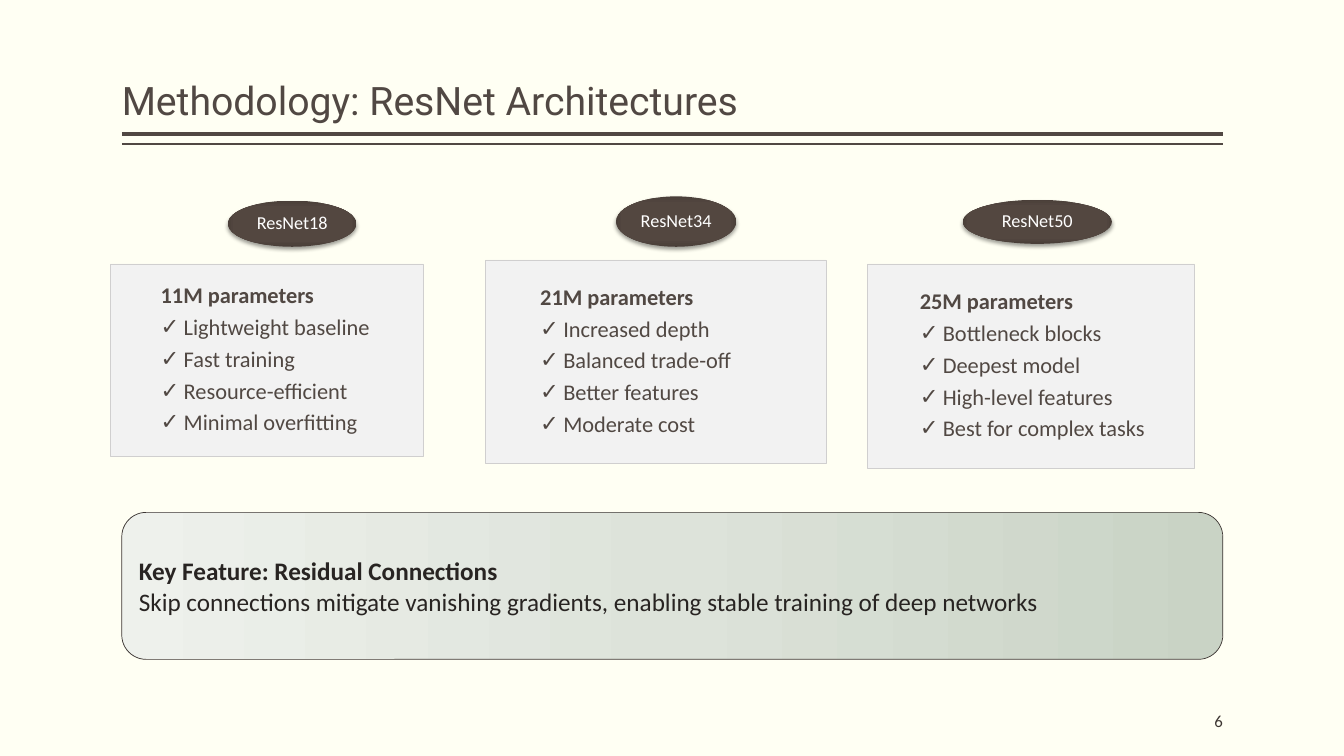
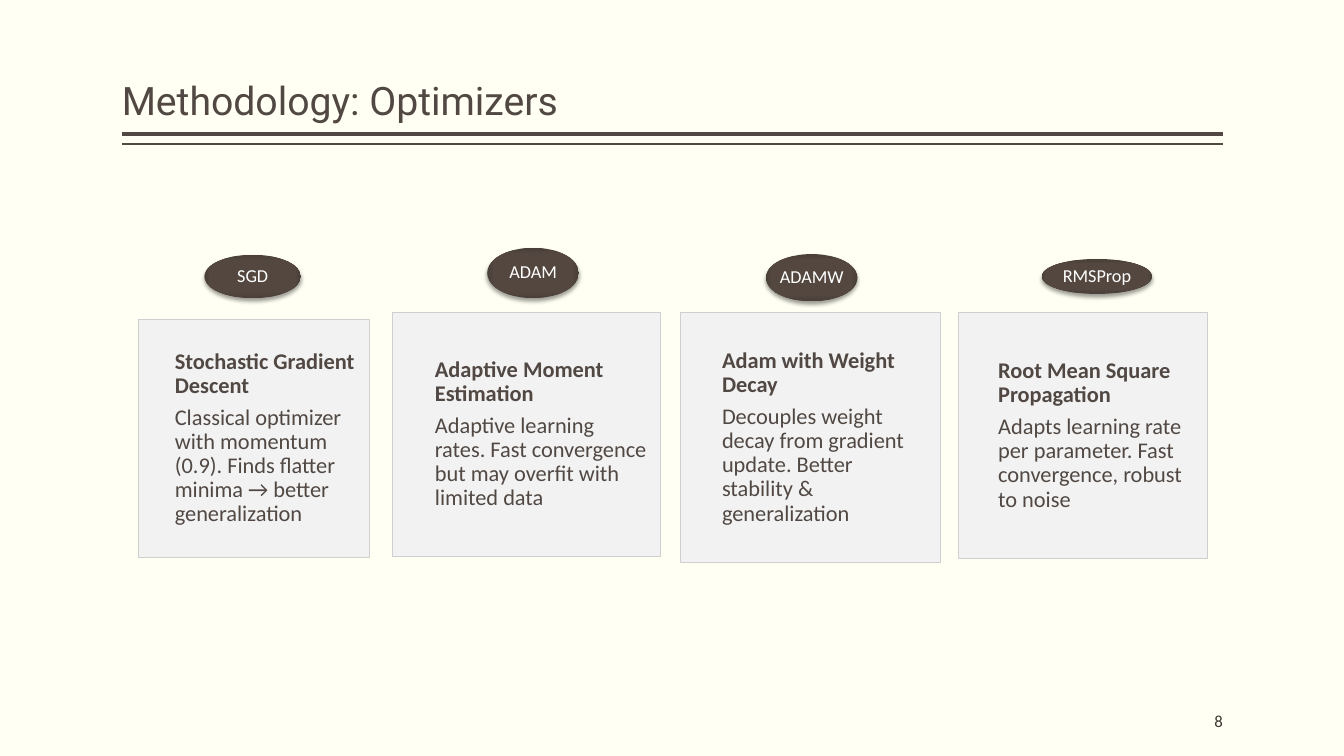
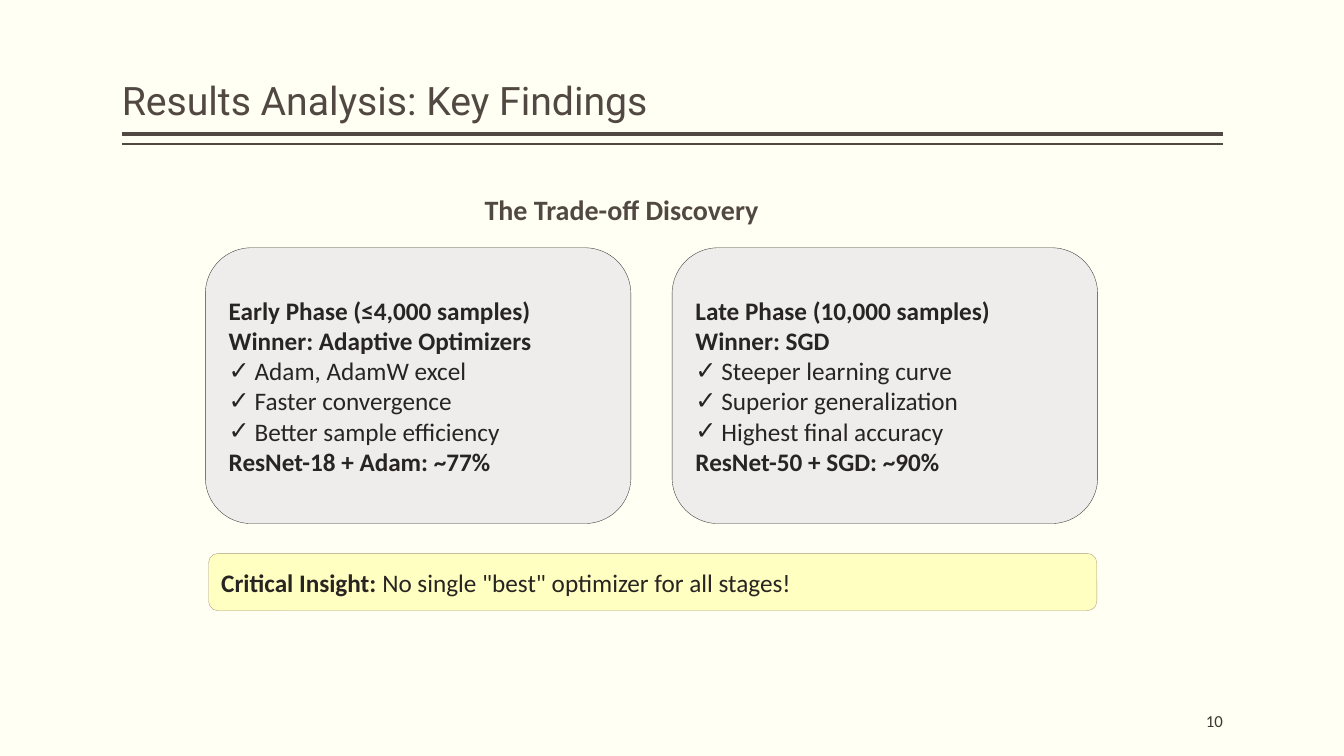
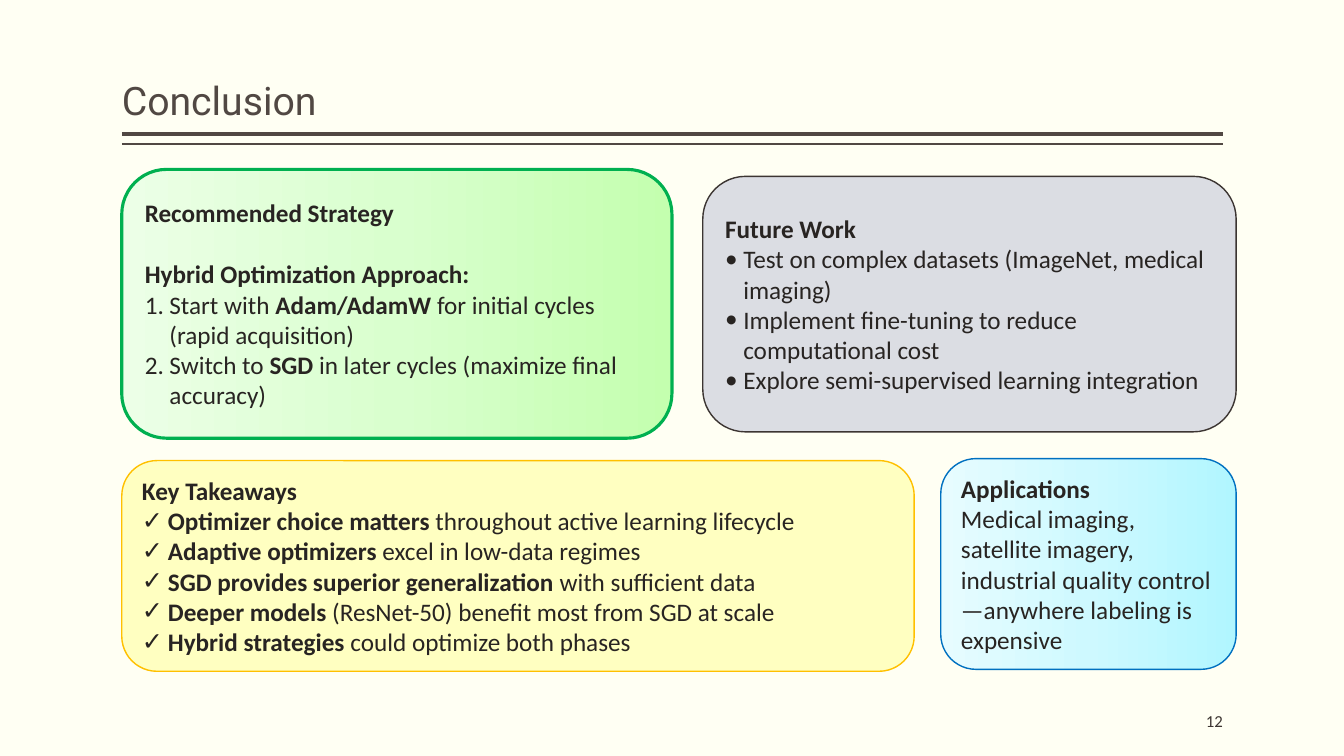
from dataclasses import dataclass

from pptx import Presentation
from pptx.dml.color import RGBColor
from pptx.enum.shapes import MSO_CONNECTOR, MSO_SHAPE
from pptx.enum.text import MSO_ANCHOR, MSO_AUTO_SIZE, PP_ALIGN
from pptx.oxml import parse_xml
from pptx.oxml.ns import nsdecls, qn
from pptx.oxml.xmlchemy import OxmlElement
from pptx.util import Pt


@dataclass(frozen=True)
class Theme:
    heading_font: str = "Roboto"
    body_font: str = "Calibri"

    title_size: float = 28
    subtitle_size: float = 20
    panel_size: float = 18
    card_size: float = 16
    pill_size: float = 13
    page_size: float = 12

    paper: str = "FFFFF3"
    accent: str = "514843"
    ink: str = "282422"
    page_ink: str = "3D3632"
    white: str = "FFFFFF"
    outline: str = "3C3532"
    card: str = "F2F2F2"
    card_edge: str = "D0CFCF"
    stone: str = "EEEDEC"
    slate: str = "DBDDE3"
    butter: str = "FFFFC1"
    butter_edge: str = "AE9A7E"
    amber: str = "FFC000"
    green: str = "00B050"
    blue: str = "0070C0"

    pill_stops: tuple = ((0, "544740"), (71, "534740"), (100, "4A3F39"))
    sage_stops: tuple = ((0, "C9D3C5"), (50, "DDE3DA"), (100, "EEF1EC"))
    lime_stops: tuple = ((0, "C4FFAF"), (50, "D9FFCE"), (100, "ECFFE7"))
    aqua_stops: tuple = ((0, "B1F6FF"), (50, "CEF9FF"), (100, "E7FCFF"))


LEFT, RIGHT = 87, 873.5
LEFTWARD = '<a:lin ang="10800000" scaled="0"/>'
FROM_CENTRE = ('<a:path path="rect"><a:fillToRect l="50000" t="50000" '
               'r="50000" b="50000"/></a:path>')
# Marker: (bullet element, its attributes, hanging indent in ems)
MARKERS = {
    "✓": ("a:buChar", {"char": "✓"}, 1.03),
    "•": ("a:buChar", {"char": "•"}, 0.72),
    "1.": ("a:buAutoNum", {"type": "arabicPeriod"}, 0.98),
}


def apply(target, values):
    for name, value in values.items():
        setattr(target, name, value)


def rgb(colour):
    return RGBColor.from_string(colour)


def insets(left=0, top=0, right=0, bottom=0):
    return {"margin_left": Pt(left), "margin_top": Pt(top),
            "margin_right": Pt(right), "margin_bottom": Pt(bottom)}


class Deck:
    """Holds the theme, the presentation and the slide being filled."""

    def __init__(self, theme):
        self.theme = theme
        self.prs = Presentation()
        apply(self.prs, {"slide_width": Pt(960), "slide_height": Pt(540)})
        background = self.prs.slide_master.background.fill
        background.solid()
        background.fore_color.rgb = rgb(theme.paper)
        self.layout = self.prs.slide_layouts.get_by_name("Title Only")
        self.slide = None

    def start_slide(self, title, number):
        theme = self.theme
        self.slide = self.prs.slides.add_slide(self.layout)
        for y, weight in ((96, 3), (103, 1)):
            self.rule(y, weight)
        heading = self.slide.shapes.title
        apply(heading, {"left": Pt(LEFT), "top": Pt(6),
                        "width": Pt(RIGHT - LEFT), "height": Pt(86)})
        self.set_text(heading.text_frame, [title], theme.title_size, theme.accent,
                      font=theme.heading_font, anchor=MSO_ANCHOR.BOTTOM,
                      margins=insets(top=3.6, bottom=3.6),
                      paragraph={"line_spacing": 0.9})
        self.label((RIGHT - 144, 500.5, 144, 29), str(number),
                   theme.page_size, theme.page_ink, align=PP_ALIGN.RIGHT,
                   margins=insets(top=3.6, bottom=3.6))

    def rule(self, y, weight):
        line = self.slide.shapes.add_connector(
            MSO_CONNECTOR.STRAIGHT, Pt(LEFT), Pt(y), Pt(RIGHT), Pt(y))
        line.line.color.rgb = rgb(self.theme.accent)
        line.line.width = Pt(weight)
        line.element.spPr.append(OxmlElement("a:effectLst"))

    def set_text(self, frame, lines, size, colour, font=None,
                 align=PP_ALIGN.LEFT, anchor=MSO_ANCHOR.MIDDLE, margins=None,
                 wrap=True, paragraph=None):
        """Fill a text frame; ** switches bold, a leading marker makes a list item.

        A line may be a (text, space before) pair.
        """
        apply(frame, {"word_wrap": wrap, "auto_size": MSO_AUTO_SIZE.NONE,
                      "vertical_anchor": anchor, **(margins or {})})
        for index, line in enumerate(lines):
            text, before = line if isinstance(line, tuple) else (line, 0)
            item = frame.add_paragraph() if index else frame.paragraphs[0]
            apply(item, {"alignment": align, "space_before": Pt(before),
                         **(paragraph or {})})
            marker, _, rest = text.partition(" ")
            if marker in MARKERS:
                self.add_bullet(item, marker, size)
                text = rest
            for part, words in enumerate(text.split("**")):
                if words:
                    run = item.add_run()
                    run.text = words
                    apply(run.font, {"size": Pt(size), "bold": part % 2 == 1,
                                     "name": font or self.theme.body_font})
                    run.font.color.rgb = rgb(colour)

    def add_bullet(self, item, marker, size):
        """Give a paragraph a real bullet with a hanging indent."""
        tag, attributes, ems = MARKERS[marker]
        properties = item._p.get_or_add_pPr()
        indent = Pt(size * ems)
        properties.set("marL", str(indent))
        properties.set("indent", str(-indent))
        typeface = {"typeface": self.theme.body_font}
        for name, values in (("a:buFont", typeface), (tag, attributes)):
            bullet = OxmlElement(name)
            for key, value in values.items():
                bullet.set(key, value)
            properties.append(bullet)

    def label(self, box, text, size, colour, **style):
        area = self.slide.shapes.add_textbox(*map(Pt, box))
        self.set_text(area.text_frame, [text], size, colour, **style)

    def shape(self, kind, box, fill, edge=None, weight=0, direction=LEFTWARD):
        """Add a preset shape; fill is a colour or a tuple of gradient stops."""
        shape = self.slide.shapes.add_shape(kind, *map(Pt, box))
        shape.shadow.inherit = False
        shape.fill.solid()
        if isinstance(fill, str):
            shape.fill.fore_color.rgb = rgb(fill)
        else:
            stops = "".join(
                f'<a:gs pos="{position * 1000}"><a:srgbClr val="{colour}"/></a:gs>'
                for position, colour in fill)
            properties = shape.element.spPr
            properties.replace(properties.find(qn("a:solidFill")), parse_xml(
                f'<a:gradFill {nsdecls("a")} rotWithShape="1">'
                f'<a:gsLst>{stops}</a:gsLst>{direction}</a:gradFill>'))
        if edge:
            shape.line.color.rgb = rgb(edge)
            shape.line.width = Pt(weight)
        else:
            shape.line.fill.background()
        return shape

    def panel(self, box, lines, fill, edge, weight):
        panel = self.shape(MSO_SHAPE.ROUNDED_RECTANGLE, box, fill, edge, weight)
        self.set_text(panel.text_frame, lines, self.theme.panel_size,
                      self.theme.ink)

    def card(self, box, lines):
        theme = self.theme
        card = self.shape(MSO_SHAPE.RECTANGLE, box, theme.card, theme.card_edge, 0.5)
        self.set_text(card.text_frame, lines, theme.card_size, theme.accent,
                      margins=insets(0.16 * box[2], 8.6, 8.6, 8.6),
                      paragraph={"line_spacing": 0.9, "space_after": Pt(5.4)})

    def pill(self, box, name):
        theme = self.theme
        pill = self.shape(MSO_SHAPE.OVAL, box, theme.pill_stops,
                          direction=FROM_CENTRE)
        pill.element.spPr.find(qn("a:effectLst")).append(parse_xml(
            f'<a:outerShdw {nsdecls("a")} blurRad="{Pt(3.1)}" dist="{Pt(2)}" '
            'dir="5400000" rotWithShape="0"><a:srgbClr val="000000">'
            '<a:alpha val="38000"/></a:srgbClr></a:outerShdw>'))
        self.set_text(pill.text_frame, [name], theme.pill_size, theme.white,
                      align=PP_ALIGN.CENTER, margins=insets(), wrap=False,
                      paragraph={"line_spacing": 0.9})

    def topics(self, topics):
        """Add cards, each with a named pill above it."""
        for name, pill_box, card_box, lines in topics:
            self.card(card_box, lines)
            self.pill(pill_box, name)


def architectures(deck):
    theme = deck.theme
    deck.start_slide("Methodology: ResNet Architectures", 6)
    deck.topics([
        ("ResNet18", (162.7, 143.3, 92, 33), (79, 188.5, 223.5, 137.5),
         ["**11M parameters**", "✓ Lightweight baseline", "✓ Fast training",
          "✓ Resource-efficient", "✓ Minimal overfitting"]),
        ("ResNet34", (440, 140.3, 86, 36), (347, 185.7, 243, 145.3),
         ["**21M parameters**", "✓ Increased depth", "✓ Balanced trade-off",
          "✓ Better features", "✓ Moderate cost"]),
        ("ResNet50", (687.6, 142.7, 106.6, 31.5), (619.7, 188.5, 233.3, 146),
         ["**25M parameters**", "✓ Bottleneck blocks", "✓ Deepest model",
          "✓ High-level features", "✓ Best for complex tasks"]),
    ])
    deck.panel((LEFT, 366, RIGHT - LEFT, 105),
               ["**Key Feature: Residual Connections**",
                "Skip connections mitigate vanishing gradients, enabling stable "
                "training of deep networks"],
               theme.sage_stops, theme.outline, 0.5)


def optimizers(deck):
    deck.start_slide("Methodology: Optimizers", 8)
    deck.topics([
        ("SGD", (146, 182, 69, 31), (98.5, 228, 165, 170),
         ["**Stochastic Gradient Descent**",
          "Classical optimizer with momentum (0.9). Finds flatter minima → "
          "better generalization"]),
        ("ADAM", (348, 177, 65.5, 36), (280, 223.3, 191.7, 174),
         ["**Adaptive Moment Estimation**",
          "Adaptive learning rates. Fast convergence but may overfit with "
          "limited data"]),
        ("ADAMW", (547, 181.5, 65.5, 33.8), (486, 223.3, 186, 178.5),
         ["**Adam with Weight Decay**",
          "Decouples weight decay from gradient update. Better stability & "
          "generalization"]),
        ("RMSProp", (744, 185, 79, 25), (684.5, 223.3, 178, 175.7),
         ["**Root Mean Square Propagation**",
          "Adapts learning rate per parameter. Fast convergence, robust to "
          "noise"]),
    ])


def findings(deck):
    theme = deck.theme
    deck.start_slide("Results Analysis: Key Findings", 10)
    phases = [
        ["**Early Phase (≤4,000 samples)**", "**Winner: Adaptive Optimizers**",
         "✓ Adam, AdamW excel", "✓ Faster convergence",
         "✓ Better sample efficiency", "**ResNet-18 + Adam: ~77%**"],
        ["**Late Phase (10,000 samples)**", "**Winner: SGD**",
         "✓ Steeper learning curve", "✓ Superior generalization",
         "✓ Highest final accuracy", "**ResNet-50 + SGD: ~90%**"],
    ]
    for column, lines in enumerate(phases):
        deck.panel((146.7 + 333.4 * column, 177, 304, 197), lines,
                   theme.stone, theme.outline, 0.25)
    deck.panel((149, 395.3, 634.5, 41),
               ['**Critical Insight:** No single "best" optimizer for all stages!'],
               theme.butter, theme.butter_edge, 0.25)
    deck.label((256, 133.5, 376, 31.5), "**The Trade-off Discovery**",
               theme.subtitle_size, theme.accent, align=PP_ALIGN.CENTER)


def conclusion(deck):
    theme = deck.theme
    deck.start_slide("Conclusion", 12)
    deck.panel((LEFT, 121, 393, 192),
               ["**Recommended Strategy**",
                ("**Hybrid Optimization Approach:**", 22),
                "1. Start with **Adam/AdamW** for initial cycles (rapid acquisition)",
                "1. Switch to **SGD** in later cycles (maximize final accuracy)"],
               theme.lime_stops, theme.green, 2.25)
    deck.panel((502, 126, 381, 182.5),
               ["**Future Work**",
                "• Test on complex datasets (ImageNet, medical imaging)",
                "• Implement fine-tuning to reduce computational cost",
                "• Explore semi-supervised learning integration"],
               theme.slate, theme.outline, 1)
    deck.panel((LEFT, 329, 566, 150.5),
               ["**Key Takeaways**",
                "✓ **Optimizer choice matters** throughout active learning lifecycle",
                "✓ **Adaptive optimizers** excel in low-data regimes",
                "✓ **SGD provides superior generalization** with sufficient data",
                "✓ **Deeper models** (ResNet-50) benefit most from SGD at scale",
                "✓ **Hybrid strategies** could optimize both phases"],
               theme.butter, theme.amber, 1)
    deck.panel((672, 327.6, 211, 150.5),
               ["**Applications**",
                "Medical imaging, satellite imagery, industrial quality "
                "control—anywhere labeling is expensive"],
               theme.aqua_stops, theme.blue, 1)


def main():
    deck = Deck(Theme())
    for build in (architectures, optimizers, findings, conclusion):
        build(deck)
    deck.prs.save("out.pptx")


if __name__ == "__main__":
    main()
